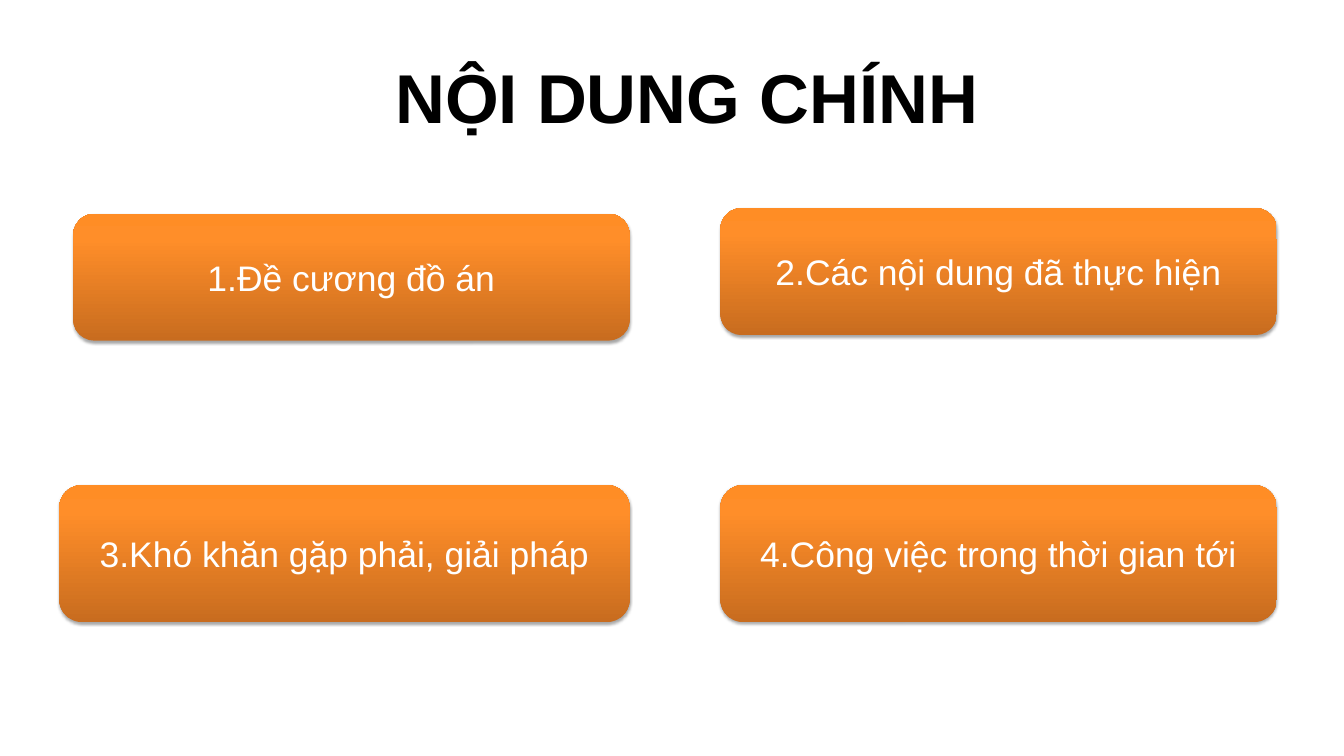
from copy import deepcopy

from lxml import etree
from pptx import Presentation
from pptx.dml.color import RGBColor
from pptx.enum.shapes import MSO_SHAPE
from pptx.enum.text import MSO_ANCHOR, MSO_AUTO_SIZE, PP_ALIGN
from pptx.oxml.ns import qn
from pptx.util import Cm, Pt

ROUNDED = MSO_SHAPE.ROUNDED_RECTANGLE
MIDDLE = MSO_ANCHOR.MIDDLE
CENTER = PP_ALIGN.CENTER
GROW = MSO_AUTO_SIZE.SHAPE_TO_FIT_TEXT

BLACK = RGBColor(0x00, 0x00, 0x00)
WHITE = RGBColor(0xFF, 0xFF, 0xFF)
ORANGE_STOPS = [
    (0, RGBColor(0xC8, 0x6C, 0x1F)),
    (0.8, RGBColor(0xFF, 0x8E, 0x29)),
    (1, RGBColor(0xFF, 0x8D, 0x25)),
]
FONT = "Arial"

RIGHT_COLUMN = 27.23
LOWER_ROW = 18.34
TOPIC_WIDTH = 21.03
UPPER_HEIGHT = 4.8
LOWER_HEIGHT = 5.18

TOPICS = [
    ("1.Đề cương đồ án", 2.77, 8.08, TOPIC_WIDTH, UPPER_HEIGHT),
    ("2.Các nội dung đã thực hiện", RIGHT_COLUMN, 7.87, TOPIC_WIDTH, UPPER_HEIGHT),
    ("3.Khó khăn gặp phải, giải pháp", 2.24, LOWER_ROW, 21.56, LOWER_HEIGHT),
    ("4.Công việc trong thời gian tới", RIGHT_COLUMN, LOWER_ROW, TOPIC_WIDTH, LOWER_HEIGHT),
]


def write_centered(frame, text, size, color, bold=False):
    frame.word_wrap = True
    paragraph = frame.paragraphs[0]
    paragraph.alignment = CENTER
    run = paragraph.add_run()
    run.text = text
    run.font.name = FONT
    run.font.size = Pt(size)
    run.font.bold = bold
    run.font.color.rgb = color


def fill_orange(shape):
    fill = shape.fill
    fill.gradient()
    fill.gradient_angle = 90
    stop_list = shape.element.spPr.find(qn("a:gradFill")).find(qn("a:gsLst"))
    stop_list.append(deepcopy(stop_list[-1]))
    for stop, (position, color) in zip(fill.gradient_stops, ORANGE_STOPS):
        stop.position = position
        stop.color.rgb = color


def cast_shadow(shape):
    shape.shadow.inherit = False
    effects = shape.element.spPr.find(qn("a:effectLst"))
    shadow = etree.SubElement(
        effects, qn("a:outerShdw"),
        blurRad=str(Pt(3.1)), dist=str(Pt(1.8)), dir="5400000", rotWithShape="0",
    )
    color = etree.SubElement(shadow, qn("a:srgbClr"), val=str(BLACK))
    etree.SubElement(color, qn("a:alpha"), val="35000")


def add_title(slide, text):
    title = slide.shapes.add_textbox(Cm(8.61), Cm(1.93), Cm(34.72), Cm(3.43))
    write_centered(title.text_frame, text, 74, BLACK, bold=True)
    title.text_frame.auto_size = GROW


def add_topic(slide, text, left, top, width, height):
    topic = slide.shapes.add_shape(ROUNDED, Cm(left), Cm(top), Cm(width), Cm(height))
    fill_orange(topic)
    topic.line.fill.background()
    cast_shadow(topic)
    topic.text_frame.vertical_anchor = MIDDLE
    write_centered(topic.text_frame, text, 38, WHITE)


def main():
    deck = Presentation()
    deck.slide_width = Cm(50.8)
    deck.slide_height = Cm(28.58)
    slide = deck.slides.add_slide(deck.slide_layouts[6])
    add_title(slide, "NỘI DUNG CHÍNH")
    for topic in TOPICS:
        add_topic(slide, *topic)
    deck.save("out.pptx")


if __name__ == "__main__":
    main()
